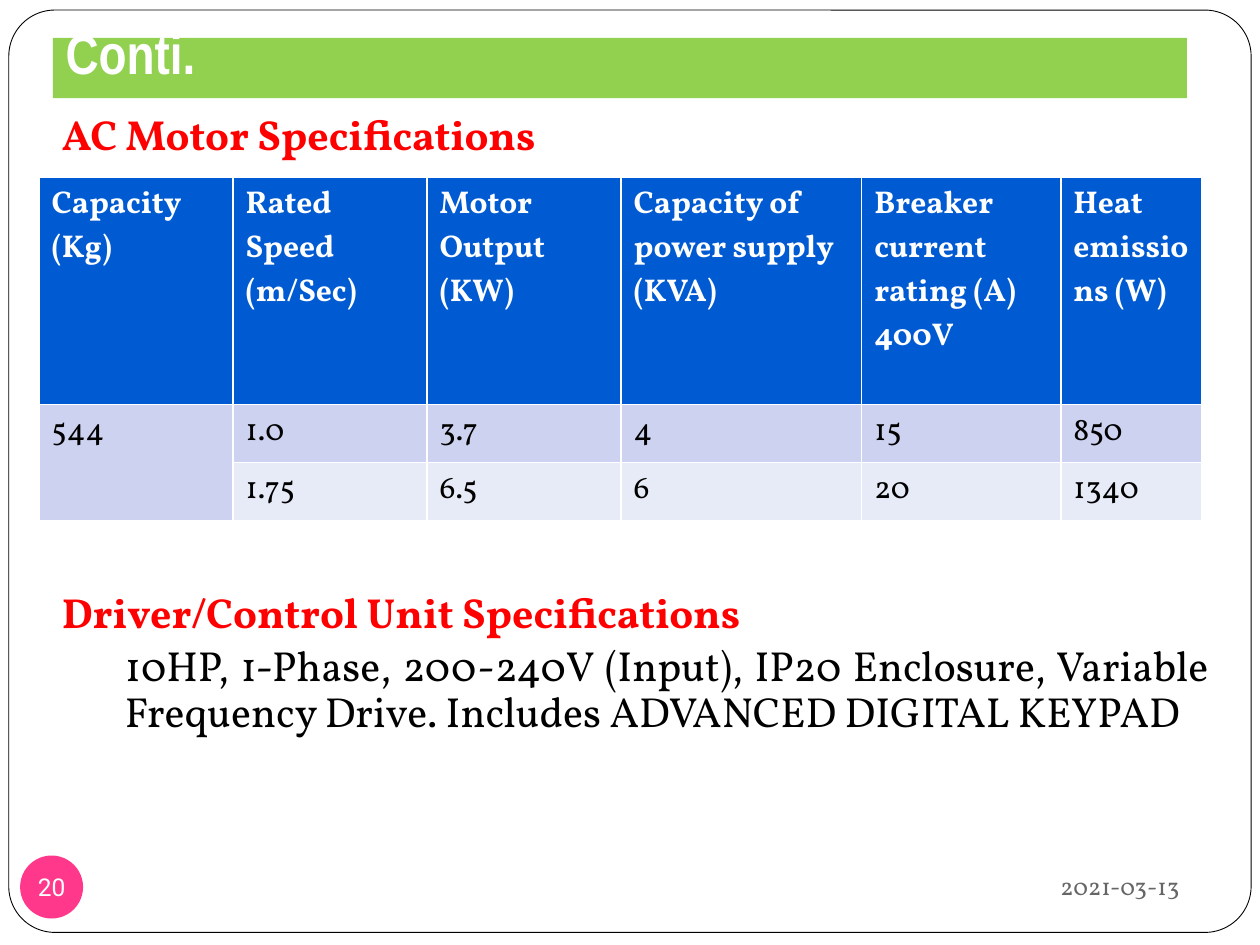
from lxml import etree
from pptx import Presentation
from pptx import util as u
from pptx.dml.color import RGBColor
from pptx.enum import shapes, text

WHITE = RGBColor(0xFF, 0xFF, 0xFF)
BLACK = RGBColor(0, 0, 0)
RED = RGBColor(0xFF, 0, 0)
GREEN = RGBColor(0x92, 0xD0, 0x50)
PINK = RGBColor(0xFF, 0x38, 0x8C)
GREY = RGBColor(0x66, 0x66, 0x66)
BLUE = RGBColor(0x00, 0x5B, 0xD3)
PALE = RGBColor(0xCC, 0xD2, 0xEF)
LIGHT = RGBColor(0xE7, 0xEA, 0xF7)
A = "{http://schemas.openxmlformats.org/drawingml/2006/main}"


def place(shape, *box):
    sides = ("left", "top", "width", "height")
    for side, size in zip(sides, box):
        setattr(shape, side, u.Inches(size))


def style(para, face, size, color, bold=False, align=text.PP_ALIGN.LEFT):
    para.alignment = align
    form = {"name": face, "size": u.Pt(size), "bold": bold}
    for key, value in form.items():
        setattr(para.font, key, value)
    para.font.color.rgb = color


deck = Presentation()
deck.slide_width, deck.slide_height = u.Inches(10), u.Inches(7.5)
slide = deck.slides.add_slide(deck.slide_layouts[1])
title, body = slide.placeholders[0], slide.placeholders[1]

# Rounded frame and number badge
parts = {}
for name, kind, box, fill in (
    ("frame", shapes.MSO_SHAPE.ROUNDED_RECTANGLE, (0.07, 0.08, 9.86, 7.32), WHITE),
    ("badge", shapes.MSO_SHAPE.OVAL, (0.16, 6.79, 0.5, 0.5), PINK),
):
    part = slide.shapes.add_shape(kind, *map(u.Inches, box))
    part.shadow.inherit = False
    part.fill.solid()
    part.fill.fore_color.rgb = fill
    part.line.fill.background()
    parts[name] = part

frame = parts["frame"]
frame.adjustments[0] = 0.05
frame.line.color.rgb = BLACK
frame.line.width = u.Pt(0.5)
title.element.addprevious(frame.element)

label = parts["badge"].text_frame
label.text = "20"
label.word_wrap = False
label.vertical_anchor = text.MSO_ANCHOR.MIDDLE
for side in ("left", "top", "right", "bottom"):
    setattr(label, "margin_" + side, 0)
style(label.paragraphs[0], "Roboto", 14, WHITE, align=text.PP_ALIGN.CENTER)

# Title bar
place(title, 0.42, 0.3, 9, 0.48)
title.fill.solid()
title.fill.fore_color.rgb = GREEN
head = title.text_frame
head.text = "Conti."
head.auto_size = text.MSO_AUTO_SIZE.NONE
head.vertical_anchor = text.MSO_ANCHOR.BOTTOM
head.margin_bottom = u.Inches(0.1)
style(head.paragraphs[0], "Arial Narrow", 32, WHITE, True)

# Headings and drive description; the second heading leaves room for the table
place(body, 0.39, 0.86, 9.3, 6.64)
flow = body.text_frame
flow.auto_size = text.MSO_AUTO_SIZE.NONE
lines = (
    ("AC Motor Specifications", RED, True, 0, 4.6),
    ("Driver/Control Unit Specifications", RED, True, 0, 247),
    ("10HP, 1-Phase, 200-240V (Input), IP20 Enclosure, Variable Frequency "
     "Drive. Includes ADVANCED DIGITAL KEYPAD", BLACK, False, 0.5, 4.6),
)
for i, (words, color, bold, indent, gap) in enumerate(lines):
    para = flow.add_paragraph() if i else flow.paragraphs[0]
    para.text = words
    style(para, "Vollkorn", 24, color, bold, text.PP_ALIGN.JUSTIFY)
    para.line_spacing = 0.9
    para.space_before = u.Pt(gap)
    props = para._p.get_or_add_pPr()
    props.set("marL", str(u.Inches(indent)))
    props.set("indent", "0")
    bullet = etree.Element(A + "buNone")
    props.find(A + "spcBef").addnext(bullet)

# Date
date = slide.shapes.add_textbox(*map(u.Inches, (6.75, 6.77, 2.71, 0.52))).text_frame
date.word_wrap = True
date.vertical_anchor = text.MSO_ANCHOR.MIDDLE
date.text = "2021-03-13"
style(date.paragraphs[0], "Vollkorn", 14, GREY, align=text.PP_ALIGN.RIGHT)

# Motor table
rows = (
    ("Capacity\n(Kg)", "Rated Speed (m/Sec)", "Motor Output (KW)",
     "Capacity of power supply (KVA)", "Breaker current rating (A) 400V",
     "Heat emissions (W)"),
    ("544", "1.0", "3.7", "4", "15", "850"),
    ("", "1.75", "6.5", "6", "20", "1340"),
)
box = map(u.Inches, (0.31, 1.41, 9.22, 2.71))
grid = slide.shapes.add_table(3, 6, *box).table
for col, width in zip(grid.columns, (1.54, 1.54, 1.54, 1.91, 1.58, 1.12)):
    col.width = u.Inches(width)
for row, height in zip(grid.rows, (1.8, 0.46, 0.46)):
    row.height = u.Inches(height)
grid.cell(1, 0).merge(grid.cell(2, 0))
for r, (row, fill) in enumerate(zip(rows, (BLUE, PALE, LIGHT))):
    for c, words in enumerate(row):
        cell = grid.cell(r, c)
        cell.fill.solid()
        cell.fill.fore_color.rgb = fill
        if cell.is_spanned:
            continue
        cell.text = words
        for para in cell.text_frame.paragraphs:
            style(para, "Vollkorn", 18, BLACK if r else WHITE, r == 0)

deck.save("out.pptx")
